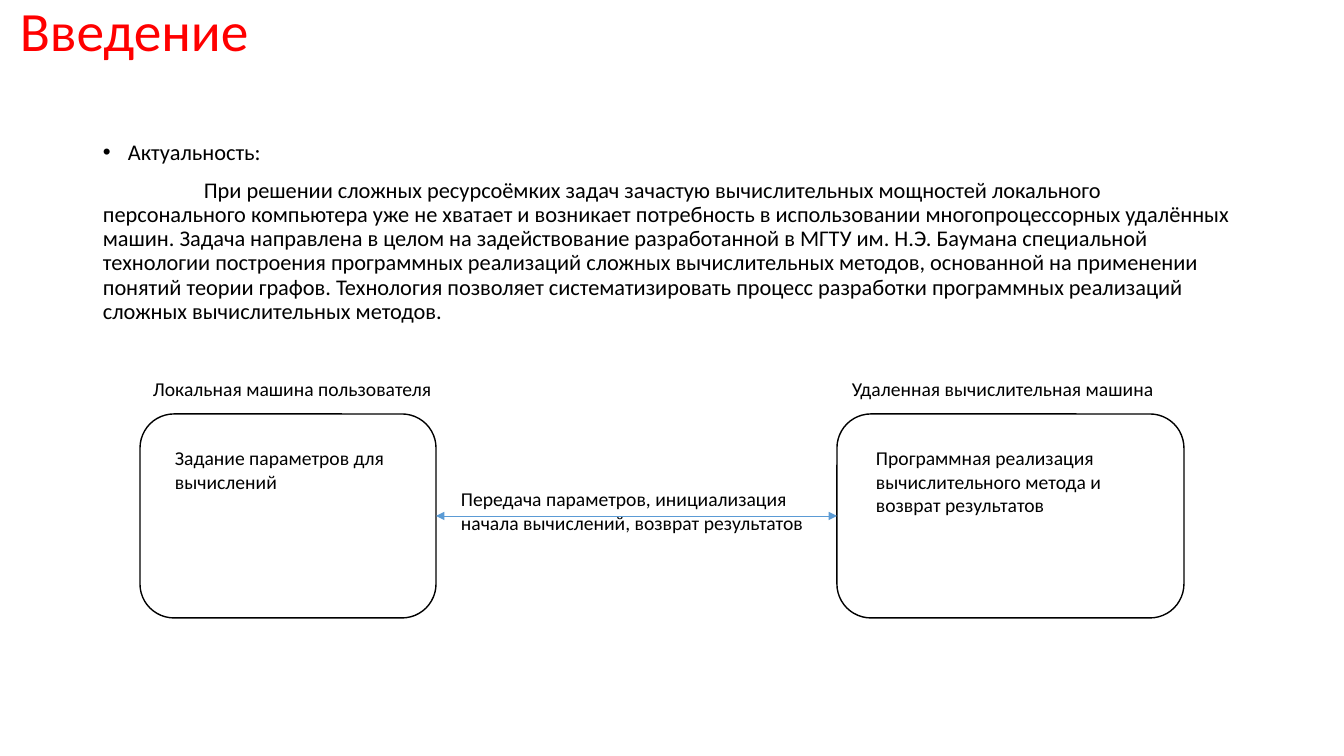
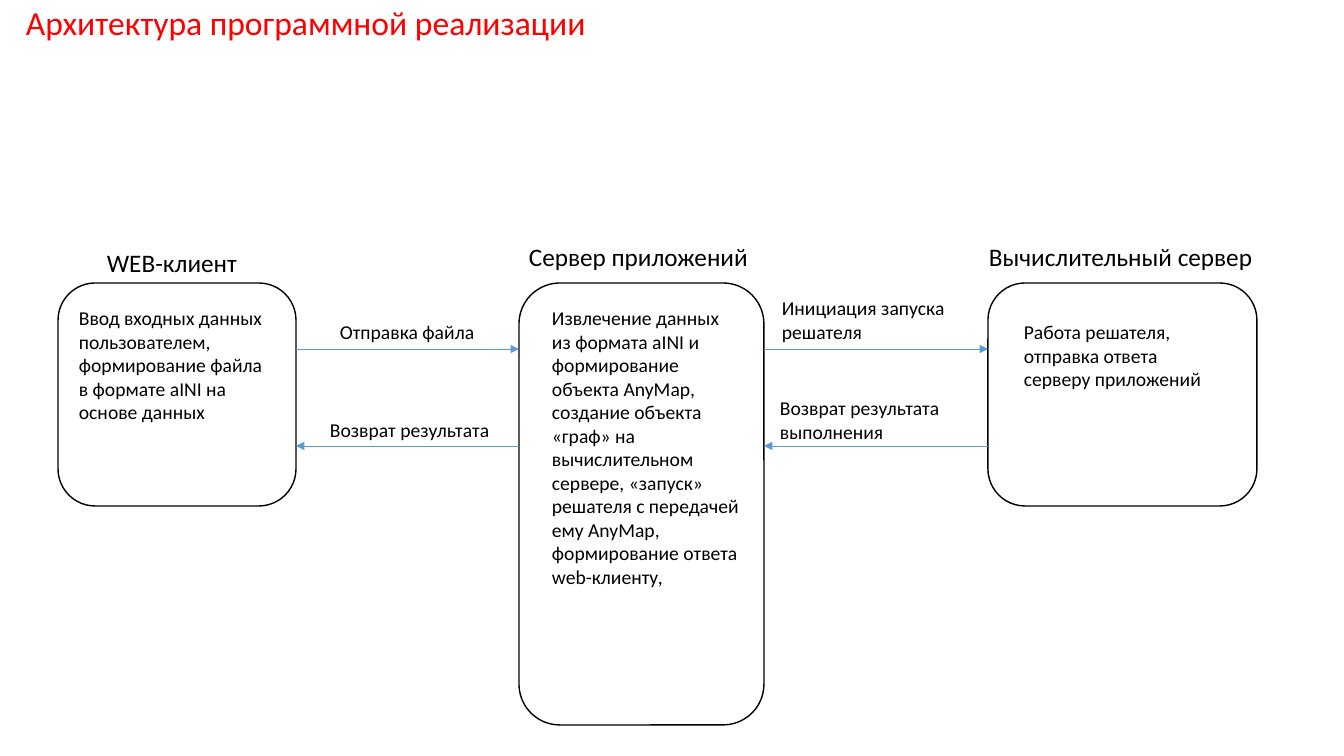
"""Build two slides that introduce a remote solver and show its architecture."""
from dataclasses import dataclass

from lxml.etree import SubElement
from pptx import Presentation
from pptx.dml.color import RGBColor
from pptx.enum.shapes import MSO_CONNECTOR, MSO_SHAPE
from pptx.enum.text import MSO_ANCHOR, MSO_AUTO_SIZE
from pptx.oxml.ns import qn
from pptx.slide import Slide
from pptx.text.text import _Paragraph as Para
from pptx.util import Emu, Pt

SCALE = 914400 / 100.8
WIDE, HIGH = 1344, 756
RED = RGBColor(0xFF, 0x00, 0x00)
BLACK = RGBColor(0x00, 0x00, 0x00)
WHITE = RGBColor(0xFF, 0xFF, 0xFF)
BLUE = RGBColor(0x5B, 0x9B, 0xD5)
FONT = "Calibri"
NOTE = {"auto_size": MSO_AUTO_SIZE.SHAPE_TO_FIT_TEXT}
TITLE = {"auto_size": MSO_AUTO_SIZE.NONE, "vertical_anchor": MSO_ANCHOR.MIDDLE}
BODY = {"line_spacing": 0.9, "space_before": Pt(10)}


@dataclass(frozen=True)
class Area:
    left: int
    top: int
    width: int
    height: int


@dataclass(frozen=True)
class Label:
    area: Area
    words: str
    size: float = 14
    wrap: bool = True


@dataclass(frozen=True)
class Arrow:
    start: int
    end: int
    level: int
    both: bool = False


@dataclass(frozen=True)
class Scene:
    title: Label
    boxes: tuple[Area, ...]
    labels: tuple[Label, ...]
    arrows: tuple[Arrow, ...]


def px(count: int) -> Emu:
    return Emu(round(count * SCALE))


def place(area: Area) -> tuple[Emu, ...]:
    return px(area.left), px(area.top), px(area.width), px(area.height)


def style(target: object, values: dict) -> None:
    for name, value in values.items():
        setattr(target, name, value)


def write(para: Para, words: str, size: float, color: RGBColor = BLACK) -> None:
    run = para.add_run()
    run.text = words
    style(run.font, {"name": FONT, "size": Pt(size)})
    run.font.color.rgb = color


def indent(para: Para, margin: int, first: int) -> None:
    props = para._p.get_or_add_pPr()
    for name, count in (("marL", margin), ("indent", first)):
        props.set(name, str(int(px(count))))


def draw_label(slide: Slide, label: Label) -> None:
    frame = slide.shapes.add_textbox(*place(label.area)).text_frame
    style(frame, {**NOTE, "word_wrap": label.wrap})
    write(frame.paragraphs[0], label.words, label.size)


def draw_title(slide: Slide, label: Label) -> None:
    frame = slide.shapes.add_textbox(*place(label.area)).text_frame
    style(frame, {**TITLE, "word_wrap": True})
    para = frame.paragraphs[0]
    para.line_spacing = 0.9
    write(para, label.words, label.size, RED)


def draw_box(slide: Slide, area: Area) -> None:
    box = slide.shapes.add_shape(MSO_SHAPE.ROUNDED_RECTANGLE, *place(area))
    box.shadow.inherit = False
    box.fill.solid()
    box.fill.fore_color.rgb = WHITE
    box.line.color.rgb = BLACK
    box.line.width = Pt(1)


def draw_arrow(slide: Slide, arrow: Arrow) -> None:
    level = px(arrow.level)
    line = slide.shapes.add_connector(
        MSO_CONNECTOR.STRAIGHT, px(arrow.start), level, px(arrow.end), level)
    line.line.color.rgb = BLUE
    line.line.width = Pt(0.5)
    props = line.element.spPr
    stroke = props.find(qn("a:ln"))
    for tip in ("a:headEnd", "a:tailEnd") if arrow.both else ("a:tailEnd",):
        SubElement(stroke, qn(tip), type="triangle")
    SubElement(props, qn("a:effectLst"))


def draw_body(slide: Slide, area: Area, topic: str, prose: str) -> None:
    frame = slide.shapes.add_textbox(*place(area)).text_frame
    frame.word_wrap = True
    head, main = frame.paragraphs[0], frame.add_paragraph()
    for para, words in ((head, topic), (main, prose)):
        style(para, BODY)
        write(para, words, 16)
    indent(head, 25, -25)
    indent(main, 0, 101)
    props = head._p.get_or_add_pPr()
    SubElement(props, qn("a:buFont"), typeface="Arial")
    SubElement(props, qn("a:buChar"), char="•")


def draw_scene(slide: Slide, scene: Scene) -> None:
    draw_title(slide, scene.title)
    for draw, items in ((draw_box, scene.boxes), (draw_label, scene.labels),
                        (draw_arrow, scene.arrows)):
        for item in items:
            draw(slide, item)


TOPIC = "Актуальность:"
PROSE = (
    "При решении сложных ресурсоёмких задач зачастую вычислительных мощностей "
    "локального персонального компьютера уже не хватает и возникает потребность "
    "в использовании многопроцессорных удалённых машин. Задача направлена в целом "
    "на задействование разработанной в МГТУ им. Н.Э. Баумана специальной "
    "технологии построения программных реализаций сложных вычислительных методов, "
    "основанной на применении понятий теории графов. Технология позволяет "
    "систематизировать процесс разработки программных\u00a0реализаций сложных "
    "вычислительных методов.")

INTRO = Scene(
    Label(Area(10, 8, 1242, 51), "Введение", 39.6),
    (Area(140, 414, 296, 204), Area(837, 414, 347, 204)),
    (
        Label(Area(143, 372, 310, 34), "Локальная машина пользователя"),
        Label(Area(842, 372, 340, 34), "Удаленная вычислительная машина"),
        Label(Area(451, 482, 386, 57),
              "Передача параметров, инициализация начала вычислений, "
              "возврат результатов"),
        Label(Area(165, 441, 244, 57), "Задание параметров для вычислений"),
        Label(Area(866, 441, 281, 82),
              "Программная реализация вычислительного метода и возврат "
              "результатов"),
    ),
    (Arrow(436, 837, 516, both=True),),
)

DESIGN = Scene(
    Label(Area(16, 4, 1242, 42), "Архитектура программной реализации", 24),
    (Area(58, 283, 238, 223), Area(519, 283, 245, 442),
     Area(988, 283, 269, 223)),
    (
        Label(Area(97, 242, 207, 40), "WEB-клиент", 18),
        Label(Area(519, 236, 256, 40), "Сервер приложений", 18),
        Label(Area(979, 236, 286, 40), "Вычислительный сервер", 18, wrap=False),
        Label(Area(69, 301, 210, 129),
              "Ввод входных данных пользователем, формирование файла в формате "
              "aINI на основе данных"),
        Label(Area(330, 315, 164, 34), "Отправка файла"),
        Label(Area(320, 413, 182, 34), "Возврат результата"),
        Label(Area(542, 301, 208, 295),
              "Извлечение данных из формата aINI и формирование объекта AnyMap, "
              "создание объекта «граф» на вычислительном сервере, «запуск» "
              "решателя с передачей ему AnyMap, формирование ответа "
              "web-клиенту,"),
        Label(Area(772, 291, 213, 57), "Инициация запуска решателя"),
        Label(Area(770, 391, 230, 57), "Возврат результата выполнения"),
        Label(Area(1014, 315, 214, 82),
              "Работа решателя, отправка ответа серверу приложений"),
    ),
    (Arrow(296, 519, 349), Arrow(764, 988, 349),
     Arrow(519, 296, 446), Arrow(988, 764, 446)),
)


def main() -> None:
    deck = Presentation()
    style(deck, {"slide_width": px(WIDE), "slide_height": px(HIGH)})
    blank = deck.slide_layouts[6]
    first, second = (deck.slides.add_slide(blank) for _ in range(2))
    draw_scene(first, INTRO)
    draw_body(first, Area(93, 136, 1159, 200), TOPIC, PROSE)
    draw_scene(second, DESIGN)
    deck.save("out.pptx")


main()
